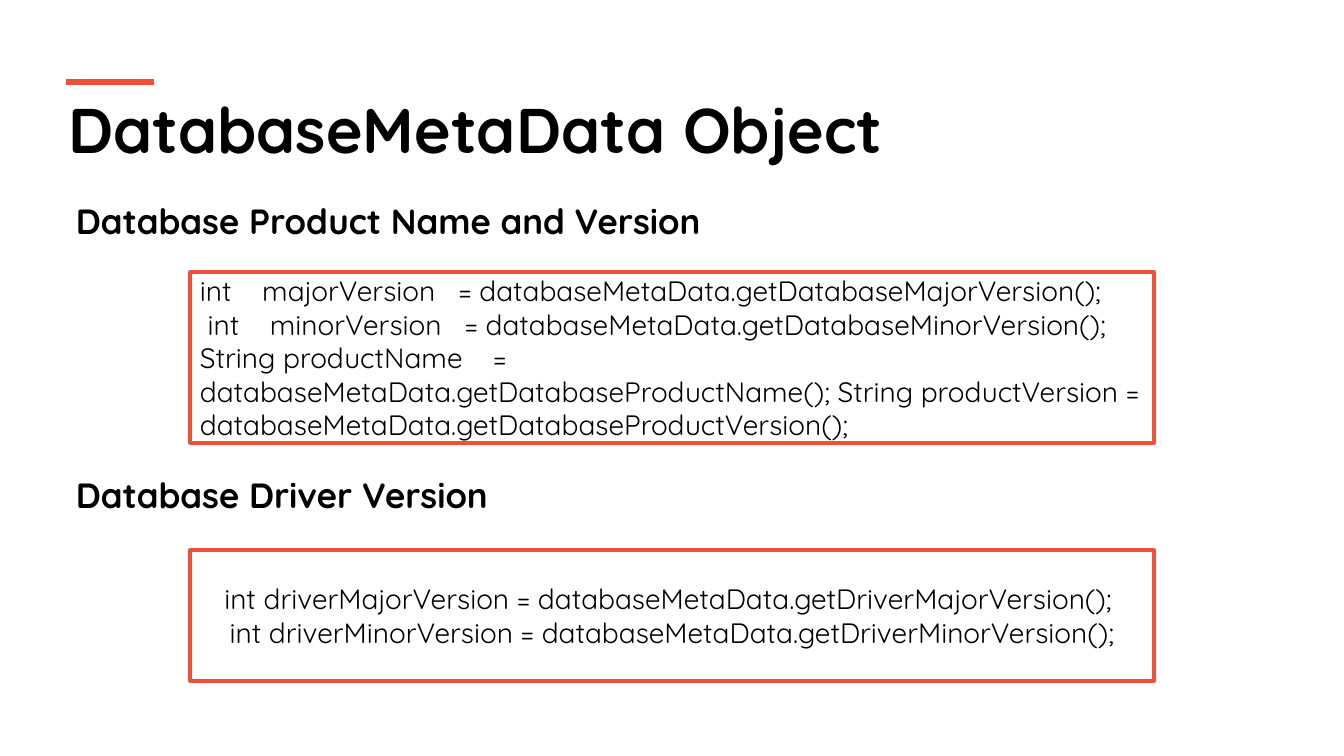
from pptx import Presentation
from pptx import util as u
from pptx.dml.color import RGBColor
from pptx.enum import shapes, text

TITLE = "DatabaseMetaData Object"
SECTIONS = [
    {
        "heading": "Database Product Name and Version",
        "heading_top": 195,
        "code": [
            "int    majorVersion   = databaseMetaData.getDatabaseMajorVersion();",
            " int    minorVersion   = databaseMetaData.getDatabaseMinorVersion();",
            "String productName    = databaseMetaData.getDatabaseProductName(); "
            "String productVersion = databaseMetaData.getDatabaseProductVersion();",
        ],
        "code_top": 272,
        "code_height": 171,
        "align": text.PP_ALIGN.LEFT,
    },
    {
        "heading": "Database Driver Version",
        "heading_top": 469,
        "code": [
            "int driverMajorVersion = databaseMetaData.getDriverMajorVersion(); ",
            "int driverMinorVersion = databaseMetaData.getDriverMinorVersion();",
        ],
        "code_top": 550,
        "code_height": 131,
        "align": text.PP_ALIGN.CENTER,
    },
]

FONT = "Quicksand"
BLACK = RGBColor(0x00, 0x00, 0x00)
ORANGE = RGBColor(0xF0, 0x51, 0x36)
PX_PER_INCH = 100.8


def px(*lengths):
    return [u.Inches(length / PX_PER_INCH) for length in lengths]


def write(shape, lines, size, bold, align, anchor):
    frame = shape.text_frame
    frame.text = "\n".join(lines)
    frame.word_wrap = True
    frame.auto_size = text.MSO_AUTO_SIZE.NONE
    frame.vertical_anchor = anchor
    for paragraph in frame.paragraphs:
        paragraph.alignment = align
        for run in paragraph.runs:
            run.font.name = FONT
            run.font.size = u.Pt(size)
            run.font.bold = bold
            run.font.color.rgb = BLACK


def add_rectangle(slide, left, top, width, height):
    shape = slide.shapes.add_shape(
        shapes.MSO_SHAPE.RECTANGLE, *px(left, top, width, height))
    shape.shadow.inherit = False
    return shape


def add_title(slide):
    title = slide.shapes.title
    title.left, title.top, title.width, title.height = px(58, 85, 1228, 87)
    write(title, [TITLE], 45, True, text.PP_ALIGN.LEFT, text.MSO_ANCHOR.TOP)
    accent = add_rectangle(slide, 66, 79, 88, 6)
    accent.fill.solid()
    accent.fill.fore_color.rgb = ORANGE
    accent.line.fill.background()


def add_section(slide, section):
    heading = slide.shapes.add_textbox(*px(66, section["heading_top"], 1004, 52))
    write(heading, [section["heading"]], 25, True,
          text.PP_ALIGN.LEFT, text.MSO_ANCHOR.TOP)
    code_box = add_rectangle(
        slide, 190, section["code_top"], 964, section["code_height"])
    code_box.fill.background()
    code_box.line.color.rgb = ORANGE
    code_box.line.width = u.Pt(2.25)
    write(code_box, section["code"], 20, False,
          section["align"], text.MSO_ANCHOR.MIDDLE)


def main():
    presentation = Presentation()
    presentation.slide_width, presentation.slide_height = px(1344, 756)
    slide = presentation.slides.add_slide(presentation.slide_layouts[5])
    add_title(slide)
    for section in SECTIONS:
        add_section(slide, section)
    presentation.save("out.pptx")


if __name__ == "__main__":
    main()
